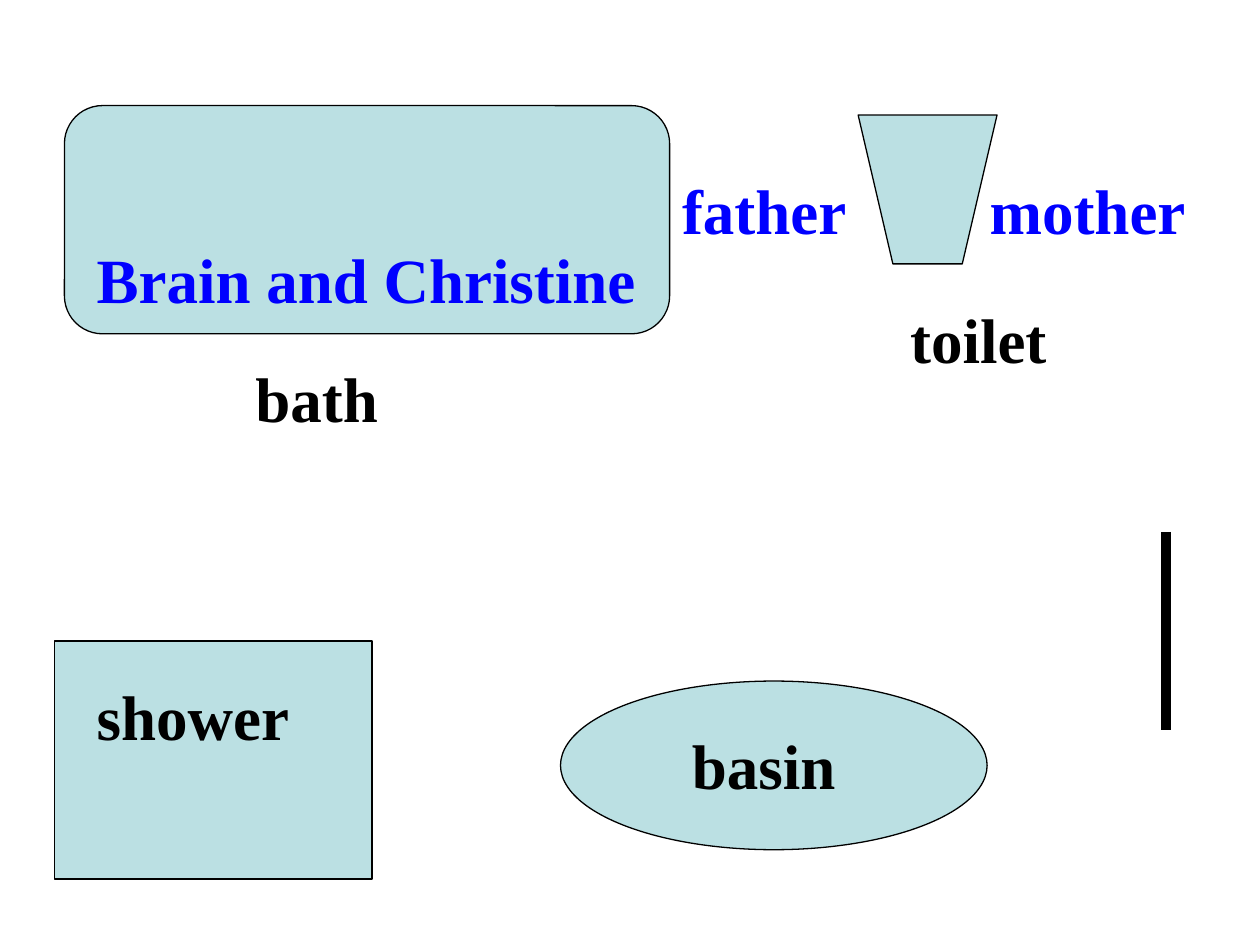
"""Build a bathroom plan with labelled fixtures and the family members in it."""
import pptx
import pptx.dml.color
import pptx.enum.shapes
import pptx.enum.text
import pptx.util
from lxml import etree

Cm = pptx.util.Cm
Pt = pptx.util.Pt
RGBColor = pptx.dml.color.RGBColor
SHAPE = pptx.enum.shapes.MSO_SHAPE
COLORS = {"fixture": "BBE0E3", "outline": "000000", "label": "000000", "person": "0000FF"}

presentation = pptx.Presentation()
presentation.slide_width = Cm(25.4)
presentation.slide_height = Cm(19.05)
slide = presentation.slides.add_slide(presentation.slide_layouts[6])

fixtures = [
    (SHAPE.ROUNDED_RECTANGLE, 1.3, 2.13, 12.2, 4.6),
    (SHAPE.RECTANGLE, 1.1, 12.92, 6.4, 4.8),
    (SHAPE.OVAL, 11.3, 13.73, 8.6, 3.4),
]
shapes = []
for kind, left, top, width, height in fixtures:
    shape = slide.shapes.add_shape(kind, Cm(left), Cm(top), Cm(width), Cm(height))
    shapes.append(shape)

toilet_corners = [(17.3, 2.32), (20.1, 2.32), (19.4, 5.32), (18, 5.32)]
points = [(Cm(x), Cm(y)) for x, y in toilet_corners]
builder = slide.shapes.build_freeform(*points[0])
builder.add_line_segments(points[1:], close=True)
shapes.append(builder.convert_to_shape())

for shape in shapes:
    shape.shadow.inherit = False
    shape.fill.solid()
    shape.fill.fore_color.rgb = RGBColor.from_string(COLORS["fixture"])
    shape.line.color.rgb = RGBColor.from_string(COLORS["outline"])
    shape.line.width = Pt(0.75)

texts = [
    ("bath", "label", 4.9, 7.12, 3.2),
    ("shower", "label", 1.7, 13.53, 4.8),
    ("toilet", "label", 18.1, 5.93, 3.8),
    ("basin", "label", 13.7, 14.53, 4.8),
    ("Brain and Christine", "person", 1.7, 4.72, 11.4),
    ("father", "person", 13.5, 3.33, 4.8),
    ("mother", "person", 19.7, 3.33, 4.8),
]
font_format = {"name": "Times New Roman", "size": Pt(36), "bold": True}
frame_format = {"word_wrap": True, "auto_size": pptx.enum.text.MSO_AUTO_SIZE.SHAPE_TO_FIT_TEXT}
for text, role, left, top, width in texts:
    box = slide.shapes.add_textbox(Cm(left), Cm(top), Cm(width), Cm(1.78))
    for attribute, value in frame_format.items():
        setattr(box.text_frame, attribute, value)
    paragraph = box.text_frame.paragraphs[0]
    run = paragraph.add_run()
    run.text = text
    for attribute, value in font_format.items():
        setattr(run.font, attribute, value)
    run.font.color.rgb = RGBColor.from_string(COLORS[role])

wall_line = slide.shapes.add_connector(
    pptx.enum.shapes.MSO_CONNECTOR.STRAIGHT, Cm(23.5), Cm(10.72), Cm(23.5), Cm(14.72)
)
wall_line.line.color.rgb = RGBColor.from_string(COLORS["outline"])
wall_line.line.width = Pt(5.5)
etree.SubElement(
    wall_line.element.spPr, "{http://schemas.openxmlformats.org/drawingml/2006/main}effectLst"
)

presentation.save("out.pptx")
